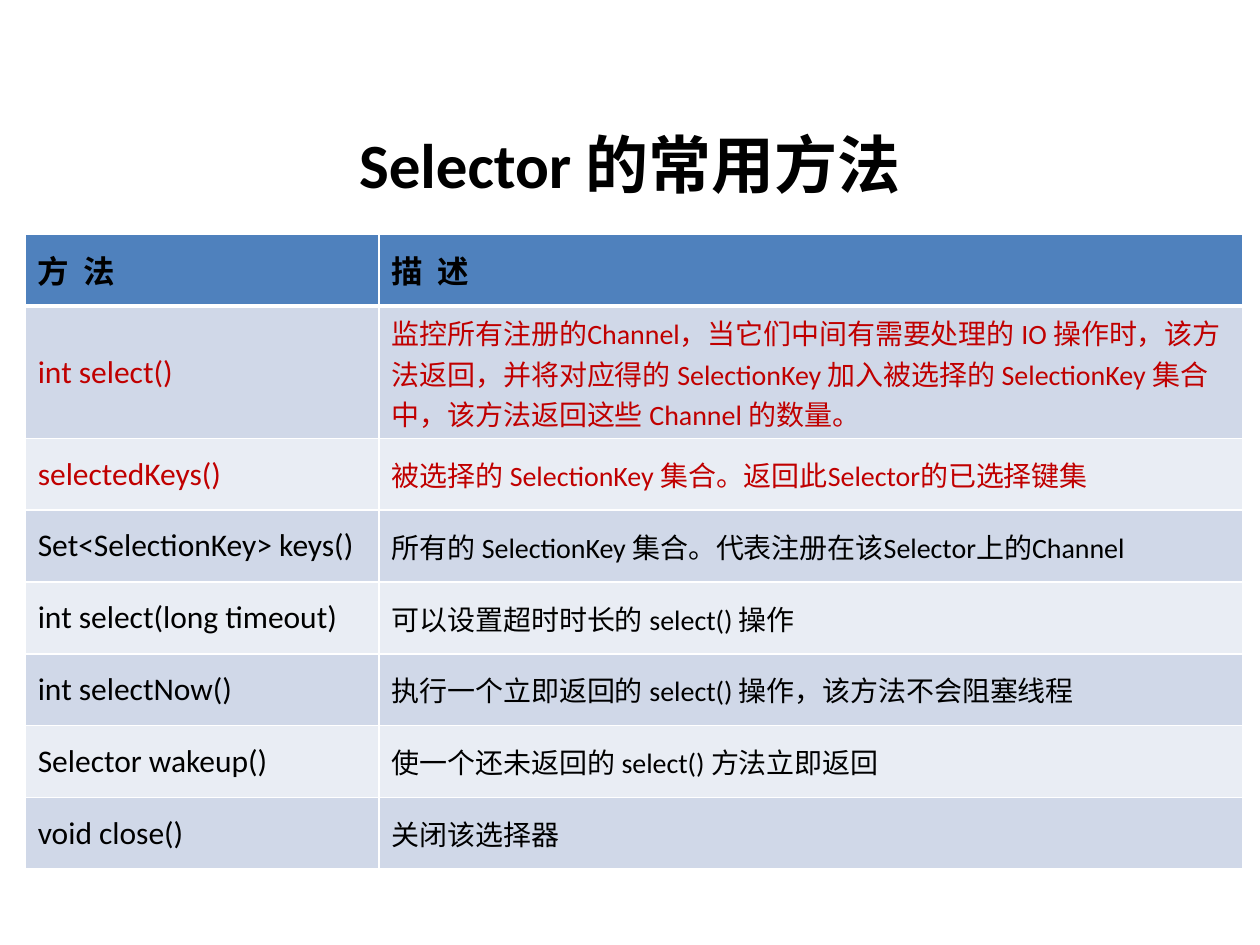
from typing import NamedTuple

from lxml import etree
from pptx import Presentation
from pptx.dml.color import RGBColor
from pptx.enum.text import MSO_ANCHOR, PP_ALIGN
from pptx.oxml.ns import qn
from pptx.util import Inches, Pt

MIDDLE = MSO_ANCHOR.MIDDLE
CENTER = PP_ALIGN.CENTER

FONT = "Calibri"
BLACK, RED, WHITE = "000000", "C00000", "FFFFFF"
HEADER_FILL = "4F81BD"
BAND_FILLS = ("D0D8E8", "E9EDF4")
COLUMN_WIDTHS = (2.81, 6.85)
ROW_HEIGHT = 0.57
TALL_ROW_HEIGHT = 1.05  # holds a description of three lines


class Method(NamedTuple):
    name: str
    description: str
    color: str = BLACK
    height: float = ROW_HEIGHT


HEADER = Method("方  法", "描  述")
METHODS = (
    Method("int select()",
           "监控所有注册的Channel，当它们中间有需要处理的 IO 操作时，该方法返回，"
           "并将对应得的 SelectionKey 加入被选择的 SelectionKey 集合中，"
           "该方法返回这些 Channel 的数量。", RED, TALL_ROW_HEIGHT),
    Method("selectedKeys()",
           "被选择的 SelectionKey 集合。返回此Selector的已选择键集", RED),
    Method("Set<SelectionKey> keys()",
           "所有的 SelectionKey 集合。代表注册在该Selector上的Channel"),
    Method("int select(long timeout)", "可以设置超时时长的 select() 操作"),
    Method("int selectNow()", "执行一个立即返回的 select() 操作，该方法不会阻塞线程"),
    Method("Selector wakeup()", "使一个还未返回的 select() 方法立即返回"),
    Method("void close()", "关闭该选择器"),
)


def rgb(color: str) -> RGBColor:
    return RGBColor.from_string(color)


def set_text(tf, text: str, size: int, color: str, bold: bool) -> None:
    tf.text = text
    font = tf.paragraphs[0].runs[0].font
    font.name, font.size, font.bold = FONT, Pt(size), bold
    font.color.rgb = rgb(color)


def set_borders(cell, top: int, bottom: int) -> None:
    """Draw white borders one point wide at the sides; top and bottom in points."""
    tc_pr = cell._tc.get_or_add_tcPr()
    widths = {"a:lnL": 1, "a:lnR": 1, "a:lnT": top, "a:lnB": bottom}
    for tag, width in widths.items():
        line = etree.SubElement(tc_pr, qn(tag), w=str(Pt(width)))
        fill = etree.SubElement(line, qn("a:solidFill"))
        etree.SubElement(fill, qn("a:srgbClr"), val=WHITE)


def fill_row(table, row: int, method: Method, sizes: tuple[int, int], fill: str) -> None:
    is_header = row == 0
    table.rows[row].height = Inches(method.height)
    for column, text in enumerate((method.name, method.description)):
        cell = table.cell(row, column)
        set_text(cell.text_frame, text, sizes[column], method.color, is_header)
        cell.vertical_anchor = MIDDLE
        set_borders(cell, top=3 if row == 1 else 1, bottom=3 if is_header else 1)
        cell.fill.solid()
        cell.fill.fore_color.rgb = rgb(fill)


def add_title(s, text: str) -> None:
    title = s.shapes.add_textbox(Inches(0.5), Inches(0.83), Inches(9), Inches(0.94))
    tf = title.text_frame
    tf.word_wrap = True
    tf.vertical_anchor = MIDDLE
    set_text(tf, text, 36, BLACK, True)
    tf.paragraphs[0].alignment = CENTER


def add_method_table(s) -> None:
    rows = (HEADER, *METHODS)
    table = s.shapes.add_table(
        len(rows), len(COLUMN_WIDTHS), Inches(0.2), Inches(1.86),
        Inches(sum(COLUMN_WIDTHS)), Inches(sum(row.height for row in rows))).table
    for column, width in zip(table.columns, COLUMN_WIDTHS):
        column.width = Inches(width)
    fill_row(table, 0, HEADER, (18, 18), HEADER_FILL)
    for i, method in enumerate(METHODS):
        fill_row(table, i + 1, method, (18, 16), BAND_FILLS[i % 2])


def main() -> None:
    prs = Presentation()
    prs.slide_width, prs.slide_height = Inches(10), Inches(7.5)
    s = prs.slides.add_slide(prs.slide_layouts[6])
    add_title(s, "Selector 的常用方法")
    add_method_table(s)
    prs.save("out.pptx")


if __name__ == "__main__":
    main()
